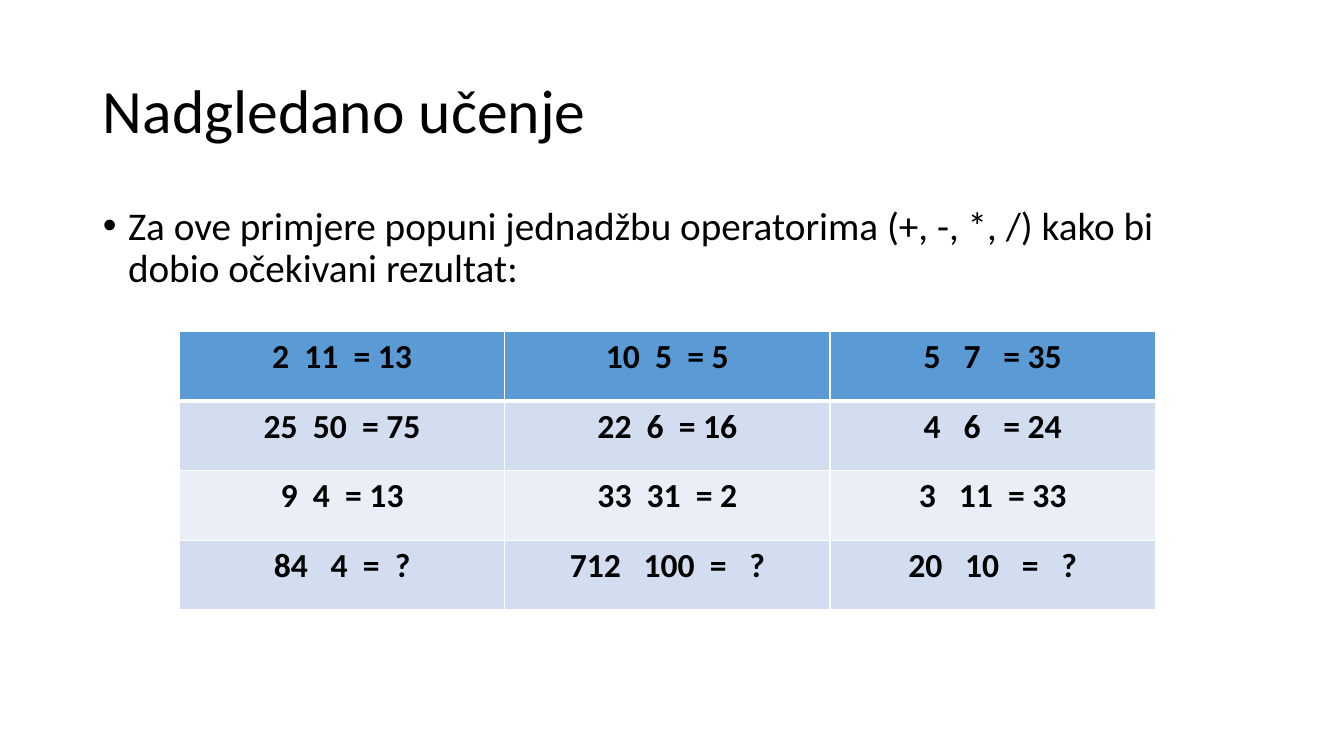
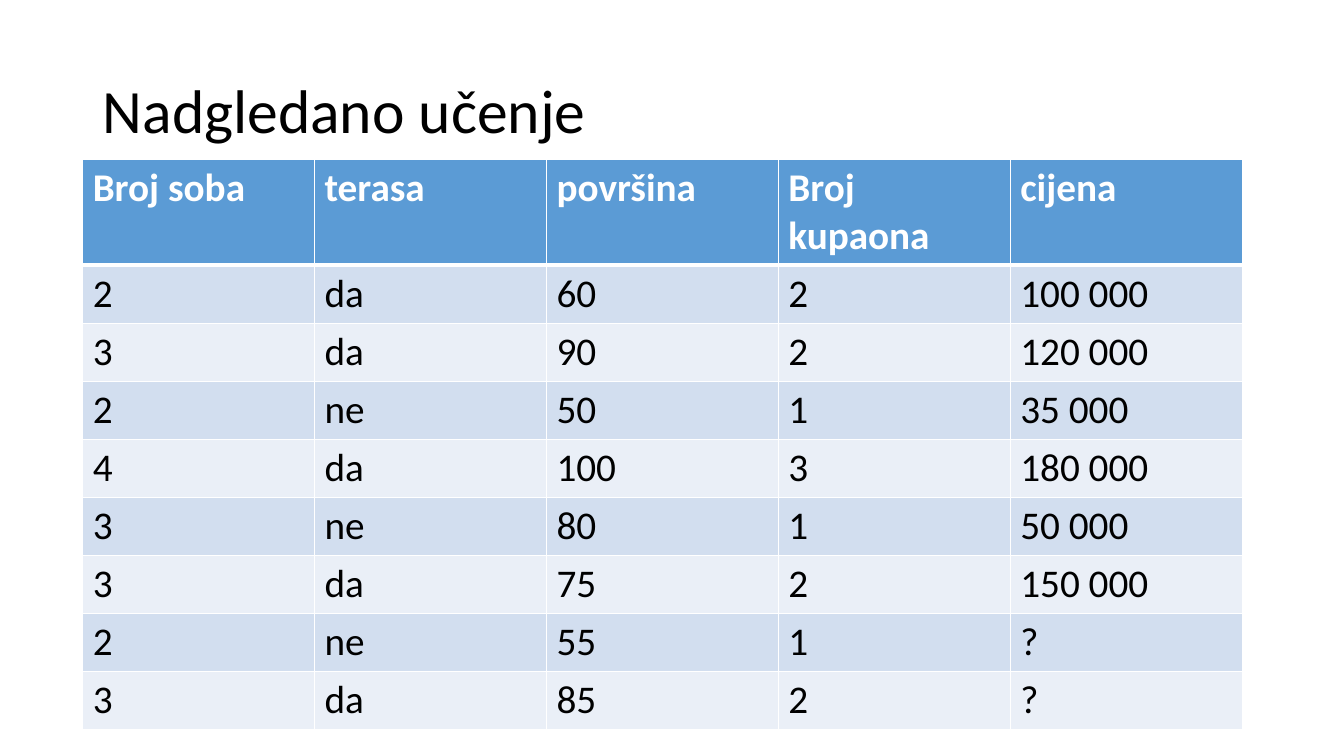
from lxml import etree
from pptx import Presentation
from pptx.dml.color import RGBColor
from pptx.enum import text as t
from pptx.oxml import ns
from pptx.util import Inches, Pt

FONT = "Calibri"
COLORS = {
    "ink": "000000",
    "white": "FFFFFF",
    "header": "5B9BD5",
    "band_dark": "D2DEEF",
    "band_light": "EAEFF7",
}
TITLE = "Nadgledano učenje"
TITLE_BOX = (0.92, 0.4, 11.5, 1.45)
TASK = ("Za ove primjere popuni jednadžbu operatorima (+, -, *, /) "
        "kako bi dobio očekivani rezultat:")
EQUATIONS = [
    ["2  11  = 13", "10  5  = 5", "5   7   = 35"],
    ["25  50  = 75", "22  6  = 16", "4   6   = 24"],
    ["9  4  = 13", "33  31  = 2", "3   11  = 33"],
    ["84   4  =  ?", "712   100  =   ?", "20   10   =   ?"],
]
HOMES = [
    ["Broj soba", "terasa", "površina", "Broj kupaona", "cijena"],
    ["2", "da", "60", "2", "100 000"],
    ["3", "da", "90", "2", "120 000"],
    ["2", "ne", "50", "1", "35 000"],
    ["4", "da", "100", "3", "180 000"],
    ["3", "ne", "80", "1", "50 000"],
    ["3", "da", "75", "2", "150 000"],
    ["2", "ne", "55", "1", "?"],
    ["3", "da", "85", "2", "?"],
]


def color(name):
    return RGBColor.from_string(COLORS[name])


def place(shape, box):
    shape.left, shape.top, shape.width, shape.height = map(Inches, box)


def write(paragraph, words, size, ink="ink", bold=False):
    run = paragraph.add_run()
    run.text = words
    run.font.name = FONT
    run.font.size = Pt(size)
    run.font.bold = bold
    run.font.color.rgb = color(ink)


def fill_placeholder(holder, box, words, size, anchor):
    place(holder, box)
    frame = holder.text_frame
    frame.word_wrap = True
    frame.auto_size = t.MSO_AUTO_SIZE.NONE
    frame.vertical_anchor = anchor
    paragraph = frame.paragraphs[0]
    paragraph.alignment = t.PP_ALIGN.LEFT
    paragraph.line_spacing = 0.9
    write(paragraph, words, size)
    return paragraph


def add_titled_slide(deck, layout_name):
    slide = deck.slides.add_slide(deck.slide_layouts.get_by_name(layout_name))
    fill_placeholder(slide.shapes.title, TITLE_BOX, TITLE, 44, t.MSO_ANCHOR.MIDDLE)
    return slide


def add_task(slide, box):
    paragraph = fill_placeholder(slide.placeholders[1], box, TASK, 28, t.MSO_ANCHOR.TOP)
    paragraph.space_before = Pt(10)
    props = paragraph._p.get_or_add_pPr()
    props.set("marL", str(Inches(0.25)))
    props.set("indent", str(Inches(-0.25)))
    etree.SubElement(props, ns.qn("a:buFont")).set("typeface", "Arial")
    etree.SubElement(props, ns.qn("a:buChar")).set("char", "•")


def border_cell(cell, row):
    widths = {"L": 1, "R": 1, "T": 3 if row == 1 else 1, "B": 3 if row == 0 else 1}
    props = cell._tc.get_or_add_tcPr()
    for position, (side, points) in enumerate(widths.items()):
        line = etree.Element(ns.qn("a:ln" + side), w=str(Pt(points)))
        solid = etree.SubElement(line, ns.qn("a:solidFill"))
        etree.SubElement(solid, ns.qn("a:srgbClr")).set("val", COLORS["white"])
        props.insert(position, line)


def add_banded_table(slide, box, rows, heights, size, header_ink, align, all_bold=False):
    grid = slide.shapes.add_table(len(rows), len(rows[0]), *map(Inches, box)).table
    for column in grid.columns:
        column.width = Inches(box[2] / len(rows[0]))
    for r, (values, height) in enumerate(zip(rows, heights)):
        grid.rows[r].height = Inches(height)
        band = "header" if r == 0 else "band_dark" if r % 2 else "band_light"
        for c, value in enumerate(values):
            cell = grid.cell(r, c)
            cell.fill.solid()
            cell.fill.fore_color.rgb = color(band)
            border_cell(cell, r)
            paragraph = cell.text_frame.paragraphs[0]
            paragraph.alignment = align
            write(paragraph, value, size, "ink" if r else header_ink, all_bold or r == 0)


def build_equations(deck):
    slide = add_titled_slide(deck, "Title and Content")
    add_task(slide, (0.92, 2, 11.5, 4.76))
    add_banded_table(slide, (1.78, 3.29, 9.68, 2.76), EQUATIONS, [0.69] * 4,
                     24, "ink", t.PP_ALIGN.CENTER, all_bold=True)


def build_homes(deck):
    slide = add_titled_slide(deck, "Title Only")
    heights = [1.04] + [0.57] * (len(HOMES) - 1)
    add_banded_table(slide, (0.82, 1.58, 11.5, sum(heights)), HOMES, heights,
                     28, "white", t.PP_ALIGN.LEFT)


def main():
    deck = Presentation()
    deck.slide_width, deck.slide_height = Inches(13.33), Inches(7.5)
    build_equations(deck)
    build_homes(deck)
    deck.save("out.pptx")


if __name__ == "__main__":
    main()
